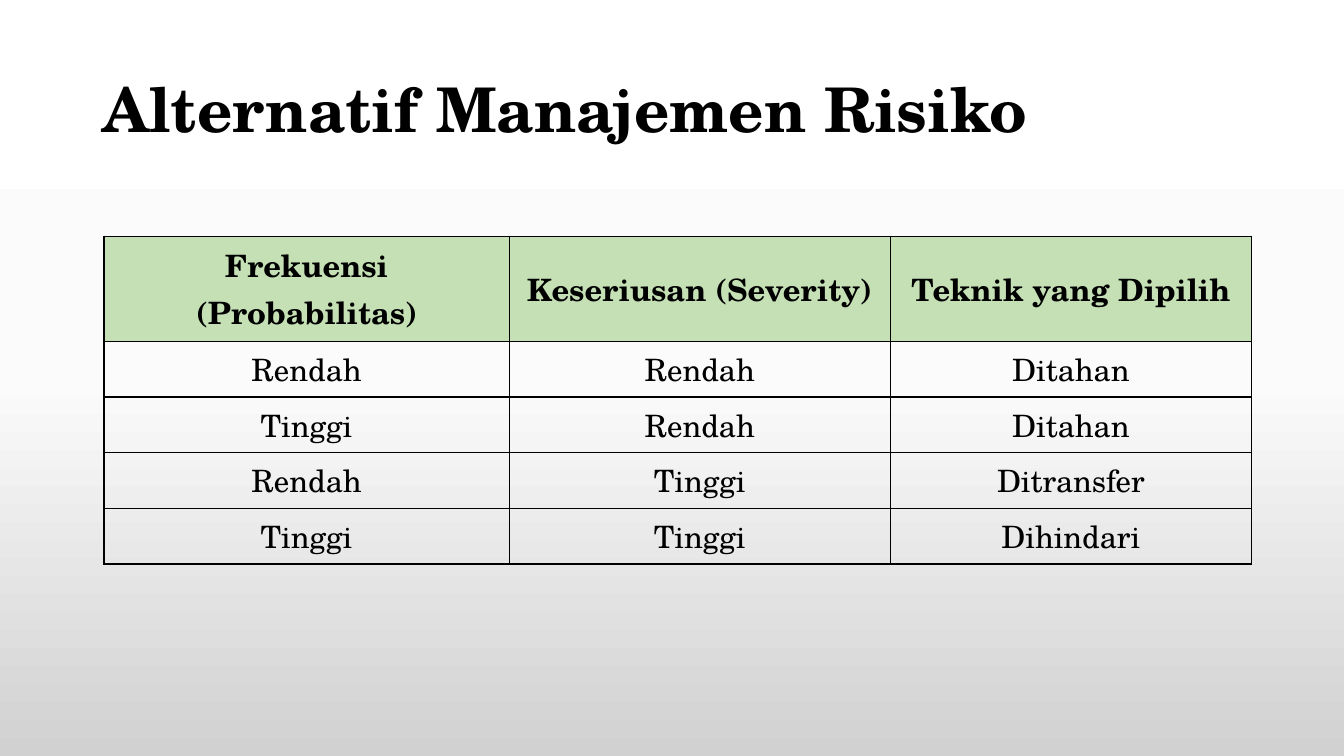
from copy import deepcopy

from pptx import Presentation
from pptx.dml.color import RGBColor as Rgb
from pptx.enum.text import MSO_ANCHOR as Anchor, PP_ALIGN as Align
from pptx.oxml import parse_xml
from pptx.oxml.ns import nsdecls
from pptx.util import Pt

PX = 9525  # 96 px to the inch
FONT = "TeX Gyre Schola"
HEX = {
    "ink": "000000",
    "head": "C5E0B4",
    "top": "FFFFFF",
    "mid": "FBFBFB",
    "low": "D1D1D1",
}
COLS = [386, 363, 344]
ROWS = [100, 53, 53, 53, 53]
DATA = [
    ["Frekuensi (Probabilitas)", "Keseriusan (Severity)", "Teknik yang Dipilih"],
    ["Rendah", "Rendah", "Ditahan"],
    ["Tinggi", "Rendah", "Ditahan"],
    ["Rendah", "Tinggi", "Ditransfer"],
    ["Tinggi", "Tinggi", "Dihindari"],
]


def px(*sizes):
    return [size * PX for size in sizes]


def write(frame, text, size=22, bold=False, align=Align.CENTER, space=None):
    para = frame.paragraphs[0]
    para.alignment = align
    para.line_spacing = space
    run = para.add_run()
    run.text = text
    font = run.font
    font.name, font.size, font.bold = FONT, Pt(size), bold
    font.color.rgb = Rgb.from_string(HEX["ink"])


def shade(slide):
    fill = slide.background.fill
    fill.gradient()
    fill.gradient_angle = 270
    # Add a third stop to the two given ones
    stops = slide.element.xpath(".//p:bg//a:gsLst")[0]
    stops.append(deepcopy(stops[-1]))
    for stop, name, pos in zip(fill.gradient_stops, ("top", "mid", "low"), (0, 0.5, 1)):
        stop.color.rgb = Rgb.from_string(HEX[name])
        stop.position = pos


def add_title(slide, text):
    title = slide.shapes.title
    title.left, title.top, title.width, title.height = px(88, 38, 1104, 139)
    frame = title.text_frame
    frame.word_wrap = True
    frame.vertical_anchor = Anchor.MIDDLE
    write(frame, text, size=44, bold=True, align=Align.LEFT, space=0.9)


def edge(cell):
    props = cell._tc.get_or_add_tcPr()
    for i, side in enumerate("LRTB"):
        props.insert(i, parse_xml(
            f'<a:ln{side} {nsdecls("a")} w="12700"><a:solidFill>'
            f'<a:srgbClr val="{HEX["ink"]}"/></a:solidFill></a:ln{side}>'))


def add_grid(slide, data):
    box = px(99, 225, sum(COLS), sum(ROWS))
    table = slide.shapes.add_table(len(ROWS), len(COLS), *box).table
    table.first_row = table.horz_banding = False
    for col, width in zip(table.columns, COLS):
        col.width = width * PX
    for row, height in zip(table.rows, ROWS):
        row.height = height * PX
    for r, line in enumerate(data):
        for c, text in enumerate(line):
            cell = table.cell(r, c)
            cell.vertical_anchor = Anchor.MIDDLE
            if r == 0:
                cell.fill.solid()
                cell.fill.fore_color.rgb = Rgb.from_string(HEX["head"])
            else:
                cell.fill.background()
            edge(cell)
            write(cell.text_frame, text, bold=r == 0)


def main():
    deck = Presentation()
    deck.slide_width, deck.slide_height = px(1280, 720)
    slide = deck.slides.add_slide(deck.slide_layouts[5])
    shade(slide)
    add_title(slide, "Alternatif Manajemen Risiko")
    add_grid(slide, DATA)
    deck.save("out.pptx")


if __name__ == "__main__":
    main()
